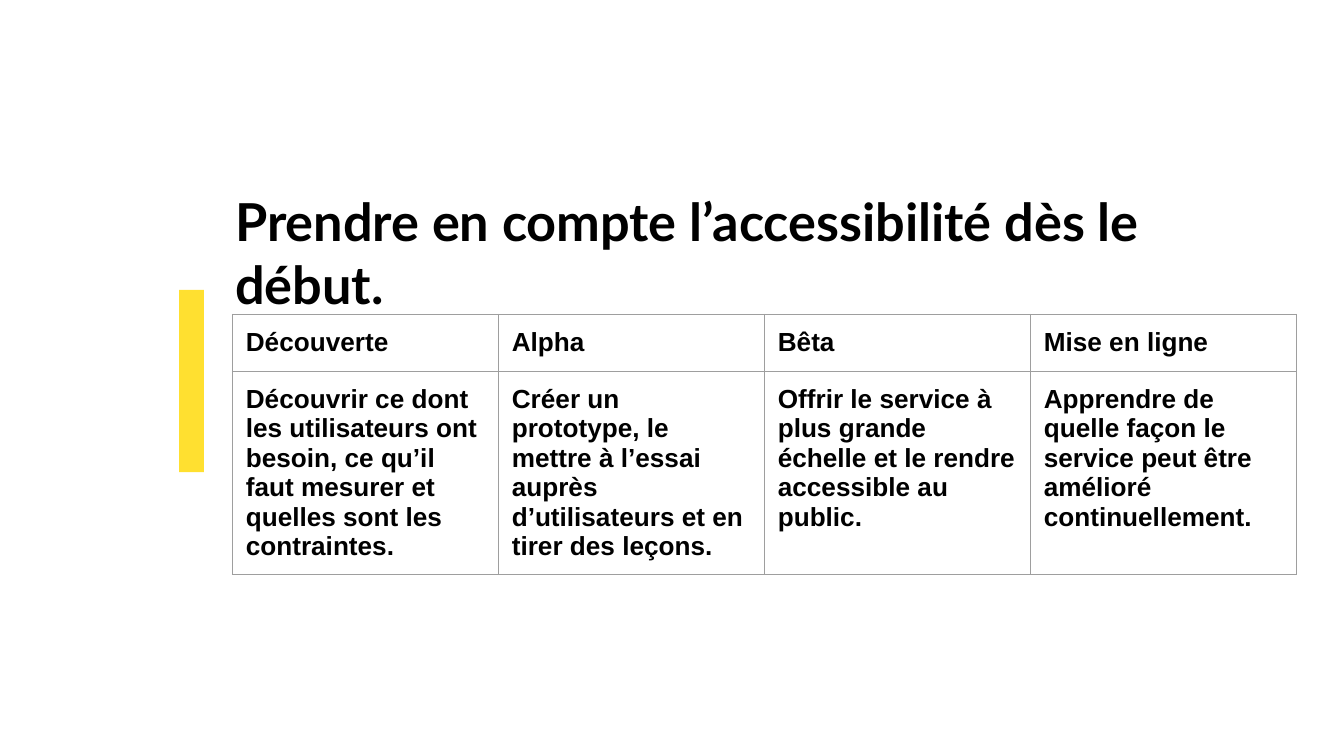
from dataclasses import dataclass

from lxml.etree import SubElement
from pptx import Presentation
from pptx.dml.color import RGBColor
from pptx.enum.shapes import MSO_SHAPE
from pptx.enum.text import MSO_ANCHOR, MSO_AUTO_SIZE, PP_ALIGN
from pptx.oxml.ns import qn
from pptx.util import Pt


@dataclass(frozen=True)
class Theme:
    accent: str = "FFE030"
    text: str = "000000"
    border: str = "9E9E9E"
    title_font: str = "Lato"
    body_font: str = "Arial"
    title_size: float = 28
    body_size: float = 14
    border_width: float = 0.75
    inset: float = 7.2


THEME = Theme()

TITLE = "Prendre en compte l’accessibilité dès le début."
PHASES = [
    ("Découverte", "Découvrir ce dont les utilisateurs ont besoin, ce qu’il faut "
                   "mesurer et quelles sont les contraintes."),
    ("Alpha", "Créer un prototype, le mettre à l’essai auprès d’utilisateurs "
              "et en tirer des leçons."),
    ("Bêta", "Offrir le service à plus grande échelle et le rendre accessible "
             "au public."),
    ("Mise en ligne", "Apprendre de quelle façon le service peut être amélioré "
                      "continuellement."),
]
COLUMN_WIDTH = 142.5
ROW_HEIGHTS = (30.5, 108.5)


def style_paragraph(paragraph, font_name, size):
    paragraph.alignment = PP_ALIGN.LEFT
    font = paragraph.font
    font.name, font.size, font.bold = font_name, Pt(size), True
    font.color.rgb = RGBColor.from_string(THEME.text)


def set_insets(target):
    """Apply the common inset to a cell or a text frame."""
    target.margin_left = target.margin_right = Pt(THEME.inset)
    target.margin_top = target.margin_bottom = Pt(THEME.inset)


def add_accent_bar(slide, left, top, width, height):
    bar = slide.shapes.add_shape(
        MSO_SHAPE.RECTANGLE, Pt(left), Pt(top), Pt(width), Pt(height))
    bar.shadow.inherit = False
    bar.fill.solid()
    bar.fill.fore_color.rgb = RGBColor.from_string(THEME.accent)
    bar.line.fill.background()


def set_title(slide, text, left, top, width, height):
    title = slide.shapes.title
    title.left, title.top = Pt(left), Pt(top)
    title.width, title.height = Pt(width), Pt(height)
    frame = title.text_frame
    frame.text = text
    frame.word_wrap = True
    frame.auto_size = MSO_AUTO_SIZE.NONE
    frame.vertical_anchor = MSO_ANCHOR.TOP
    set_insets(frame)
    style_paragraph(frame.paragraphs[0], THEME.title_font, THEME.title_size)


def add_borders(cell):
    properties = cell._tc.get_or_add_tcPr()
    for position, side in enumerate(("a:lnL", "a:lnR", "a:lnT", "a:lnB")):
        line = SubElement(properties, qn(side), w=str(Pt(THEME.border_width)))
        fill = SubElement(line, qn("a:solidFill"))
        SubElement(fill, qn("a:srgbClr"), val=THEME.border)
        properties.insert(position, line)  # borders come before the fill


def fill_cell(cell, text):
    cell.text = text
    cell.vertical_anchor = MSO_ANCHOR.TOP
    cell.fill.background()
    set_insets(cell)
    style_paragraph(cell.text_frame.paragraphs[0], THEME.body_font, THEME.body_size)
    add_borders(cell)


def add_phase_table(slide, left, top):
    table = slide.shapes.add_table(
        len(ROW_HEIGHTS), len(PHASES), Pt(left), Pt(top),
        Pt(COLUMN_WIDTH * len(PHASES)), Pt(sum(ROW_HEIGHTS))).table
    table.first_row = table.horz_banding = False
    for row, height in zip(table.rows, ROW_HEIGHTS):
        row.height = Pt(height)
    for column, phase in enumerate(PHASES):
        table.columns[column].width = Pt(COLUMN_WIDTH)
        for row, text in enumerate(phase):
            fill_cell(table.cell(row, column), text)


def main():
    presentation = Presentation()
    presentation.slide_width, presentation.slide_height = Pt(720), Pt(405)
    slide = presentation.slides.add_slide(presentation.slide_layouts[5])

    # Accent bar and title
    add_accent_bar(slide, 95.9, 155.3, 13.4, 97.7)
    set_title(slide, TITLE, 118.8, 94.3, 522, 128.9)

    # Project phases
    add_phase_table(slide, 124.5, 168.5)

    presentation.save("out.pptx")


if __name__ == "__main__":
    main()
